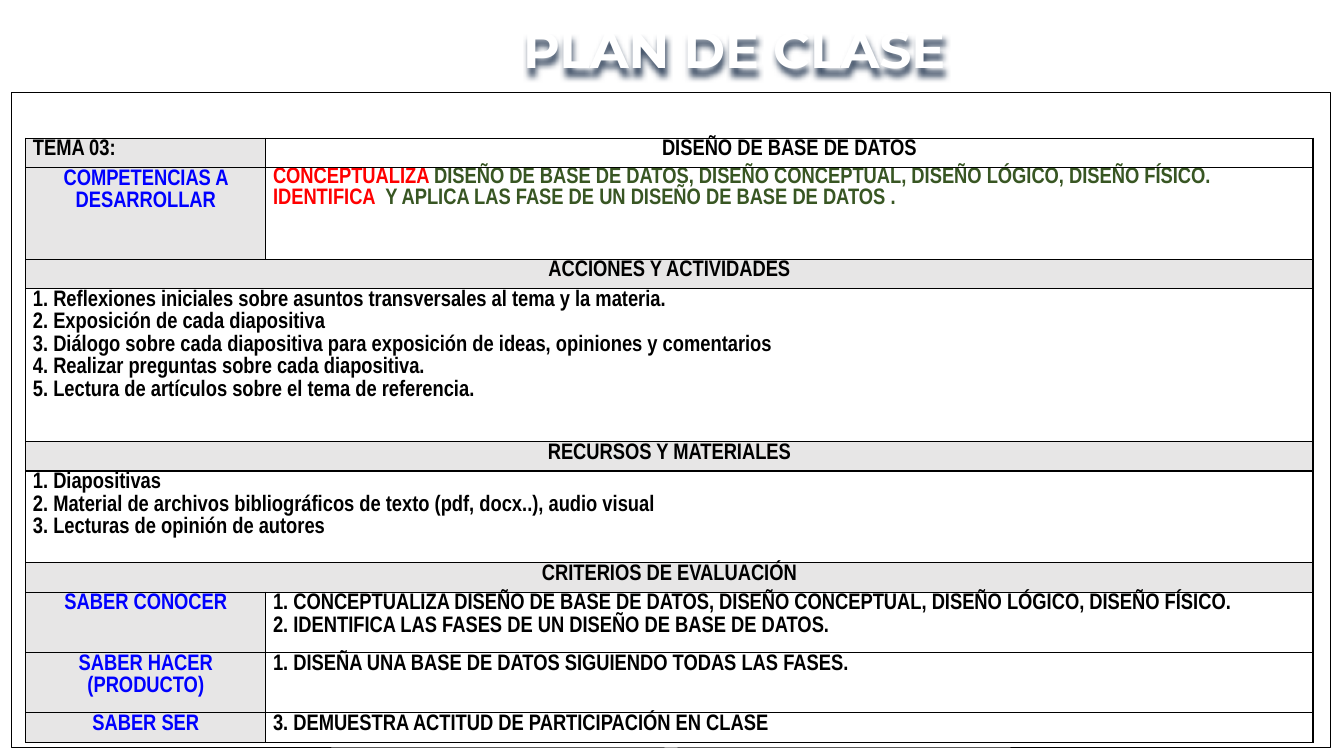
"""Builds the class plan slide."""
import pptx
import pptx.util
import pptx.dml.color
import pptx.enum.shapes
import pptx.enum.text
import pptx.oxml
from pptx.oxml.ns import qn

Cm = pptx.util.Cm
ALIGN = {name[0].lower(): getattr(pptx.enum.text.PP_ALIGN, name)
         for name in ("LEFT", "CENTER", "JUSTIFY")}
BLACK, WHITE, GREY = "000000", "FFFFFF", "E7E6E6"
BLUE, RED, GREEN = "0000FF", "FF0000", "385623"

TITLE = "PLAN DE CLASE"
COL_WIDTHS = (6.05, 26.39)
LABEL = {"align": "c", "color": BLUE}
COMPETENCIAS = [
    [("CONCEPTUALIZA ", RED),
     ("DISEÑO DE BASE DE DATOS, DISEÑO CONCEPTUAL, DISEÑO LÓGICO, DISEÑO FÍSICO.", GREEN)],
    [("IDENTIFICA  ", RED),
     ("Y APLICA LAS FASE DE UN DISEÑO DE BASE DE DATOS .", GREEN)],
]
ACTIVIDADES = [
    "1. Reflexiones iniciales sobre asuntos transversales al tema y la materia.",
    "2. Exposición de cada diapositiva",
    "3. Diálogo sobre cada diapositiva para exposición de ideas, opiniones y comentarios",
    "4. Realizar preguntas sobre cada diapositiva.",
    "5. Lectura de artículos sobre el tema de referencia.",
]
RECURSOS = [
    "1. Diapositivas",
    "2. Material de archivos bibliográficos de texto (pdf, docx..), audio visual",
    "3. Lecturas de opinión de autores",
]
CONOCER = [
    "1. CONCEPTUALIZA DISEÑO DE BASE DE DATOS, DISEÑO CONCEPTUAL, DISEÑO LÓGICO, DISEÑO FÍSICO.",
    "2. IDENTIFICA LAS FASES DE UN DISEÑO DE BASE DE DATOS.",
]
ROWS = [
    (0.74, [(["TEMA 03:"], {}), (["DISEÑO DE BASE DE DATOS"], {"align": "c"})]),
    (2.31, [(["COMPETENCIAS A DESARROLLAR"], LABEL),
            (COMPETENCIAS, {"align": "j", "spacing": 1.0, "after": 0})]),
    (0.74, [(["ACCIONES Y ACTIVIDADES"], {"align": "c"})]),
    (3.86, [(ACTIVIDADES, {"align": "j"})]),
    (0.74, [(["RECURSOS Y MATERIALES"], {"align": "c"})]),
    (2.31, [(RECURSOS, {"align": "j"})]),
    (0.74, [(["CRITERIOS DE EVALUACIÓN"], {"align": "c"})]),
    (1.52, [(["SABER CONOCER"], LABEL), (CONOCER, {"align": "j"})]),
    (1.52, [(["SABER HACER (PRODUCTO)"], LABEL),
            (["1. DISEÑA UNA BASE DE DATOS SIGUIENDO TODAS LAS FASES."], {"after": 0})]),
    (0.74, [(["SABER SER"], LABEL),
            (["3. DEMUESTRA ACTITUD DE PARTICIPACIÓN EN CLASE"], {})]),
]


def rgb(color):
    return pptx.dml.color.RGBColor.from_string(color)


def write(tf, lines, align="l", color=BLACK, font="Arial Narrow", size=16,
          spacing=1.07, after=8):
    for i, line in enumerate(lines):
        p = tf.add_paragraph() if i else tf.paragraphs[0]
        p.alignment = ALIGN[align]
        p.line_spacing = spacing
        p.space_after = pptx.util.Pt(after if i == len(lines) - 1 else 0)
        for text, tint in [(line, color)] if isinstance(line, str) else line:
            r = p.add_run()
            r.text = text
            r.font.name = font
            r.font.size = pptx.util.Pt(size)
            r.font.bold = True
            r.font.color.rgb = rgb(tint)


def add_xml(parent, tag, attrs):
    child = pptx.oxml.parse_xml(
        '<a:%s xmlns:a="http://schemas.openxmlformats.org/drawingml/2006/main"/>' % tag)
    for key, value in attrs.items():
        child.set(key, value)
    parent.append(child)
    return child


def style_cell(cell, fill):
    cell.margin_left = cell.margin_right = Cm(0.18)
    cell.margin_top = cell.margin_bottom = 0
    tcPr = cell._tc.get_or_add_tcPr()
    for side in ("lnL", "lnR", "lnT", "lnB"):
        ln = add_xml(tcPr, side, {"w": "12700"})
        add_xml(add_xml(ln, "solidFill", {}), "srgbClr", {"val": BLACK})
    cell.fill.solid()
    cell.fill.fore_color.rgb = rgb(fill)


def add_frame(s):
    sp = s.shapes.add_shape(pptx.enum.shapes.MSO_SHAPE.RECTANGLE,
                            Cm(0.3), Cm(2.34), Cm(33.22), Cm(16.51))
    sp.shadow.inherit = False
    sp.fill.solid()
    sp.fill.fore_color.rgb = rgb(WHITE)
    sp.line.color.rgb = rgb(BLACK)
    sp.line.width = pptx.util.Pt(0.75)


def add_title(s):
    sp = s.shapes.add_textbox(Cm(4.09), Cm(0.46), Cm(28.83), Cm(1.55))
    tf = sp.text_frame
    tf.word_wrap = True
    tf.margin_left = tf.margin_right = tf.margin_top = tf.margin_bottom = 0
    write(tf, [TITLE], align="c", color=WHITE, font="Montserrat", size=36,
          spacing=1.0, after=0)
    effects = add_xml(sp._element.find(qn("p:spPr")), "effectLst", {})
    shadow = add_xml(effects, "outerShdw",
                     {"blurRad": "38100", "dist": "50800", "dir": "5400000"})
    add_xml(shadow, "srgbClr", {"val": "44546A"})


def add_plan(s):
    table = s.shapes.add_table(len(ROWS), 2, Cm(0.65), Cm(3.48), Cm(sum(COL_WIDTHS)),
                               Cm(sum(height for height, _ in ROWS))).table
    table.first_row = table.horz_banding = False
    for col, width in zip(table.columns, COL_WIDTHS):
        col.width = Cm(width)
    for i, (height, contents) in enumerate(ROWS):
        table.rows[i].height = Cm(height)
        merged = len(contents) == 1
        heading = merged and len(contents[0][0]) == 1
        for j in range(2):
            shaded = heading or (j == 0 and not merged)
            style_cell(table.cell(i, j), GREY if shaded else WHITE)
        if merged:
            table.cell(i, 0).merge(table.cell(i, 1))
        for j, (lines, style) in enumerate(contents):
            write(table.cell(i, j).text_frame, lines, **style)


def main():
    prs = pptx.Presentation()
    prs.slide_width, prs.slide_height = Cm(33.87), Cm(19.05)
    s = prs.slides.add_slide(prs.slide_layouts[6])
    add_frame(s)
    add_title(s)
    add_plan(s)
    prs.save("out.pptx")


if __name__ == "__main__":
    main()
